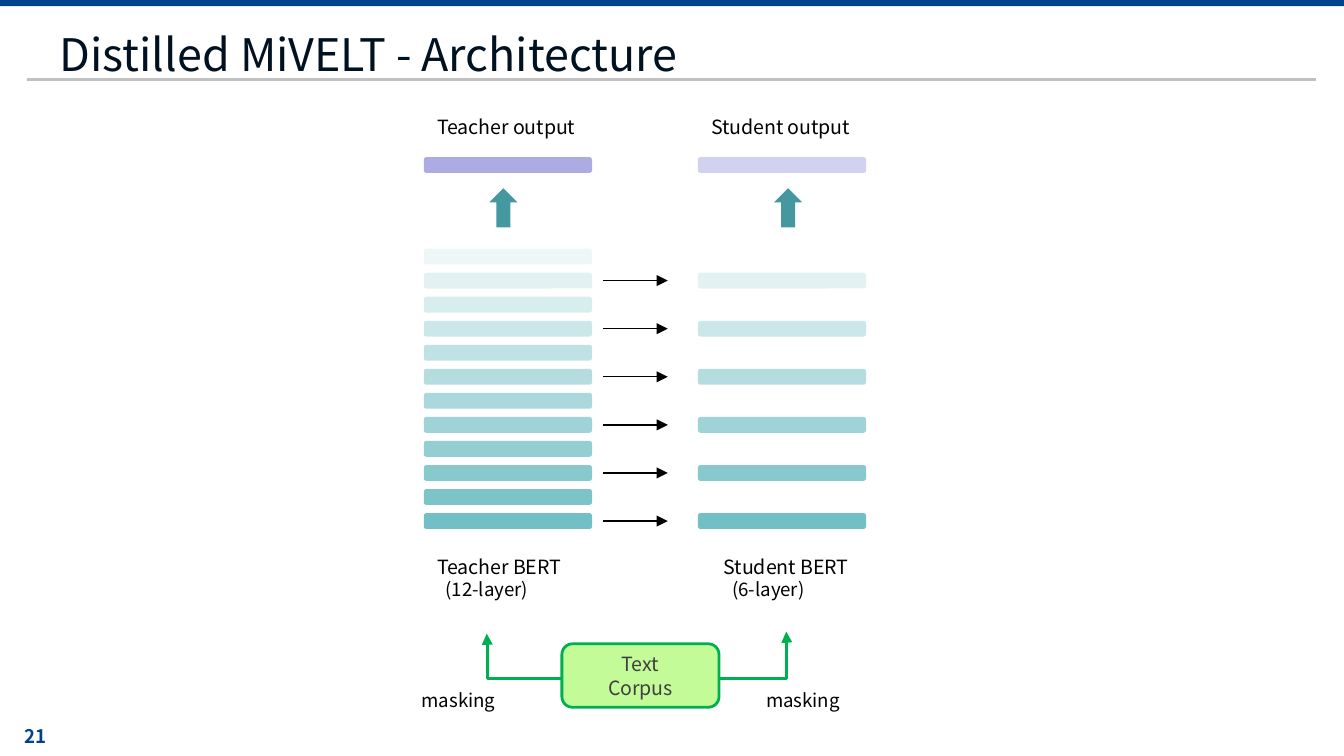
from lxml.etree import SubElement
from pptx import Presentation
from pptx.dml.color import RGBColor
from pptx.enum.shapes import MSO_CONNECTOR, MSO_SHAPE
from pptx.enum.text import MSO_ANCHOR, MSO_AUTO_SIZE, PP_ALIGN
from pptx.oxml.ns import qn
from pptx.util import Cm, Pt

FONT = "Noto Sans CJK KR"
NAVY = RGBColor(0x00, 0x43, 0x8D)
SILVER = RGBColor(0xC0, 0xC0, 0xC0)
TITLE_COLOR = RGBColor(0x00, 0x11, 0x22)
BLACK = RGBColor(0x00, 0x00, 0x00)
CHARCOAL = RGBColor(0x40, 0x40, 0x40)
TEAL = RGBColor(0x72, 0xBF, 0xC5)
DARK_TEAL = RGBColor(0x45, 0x97, 0xA0)
VIOLET = RGBColor(0x75, 0x75, 0xD1)
LAVENDER = RGBColor(0xD1, 0xD1, 0xF0)
GREEN = RGBColor(0x00, 0xB0, 0x50)
LIGHT_GREEN = RGBColor(0xC2, 0xFB, 0x97)

TEACHER_LEFT, STUDENT_LEFT = 8.01, 13.19
BAR_WIDTH, BAR_HEIGHT = 3.18, 0.3
LAYERS = 12
BOTTOM_LAYER_TOP = 9.7
LAYER_STEP = 5 / (LAYERS - 1)

presentation = Presentation()
presentation.slide_width = Cm(25.4)
presentation.slide_height = Cm(14.29)
slide = presentation.slides.add_slide(presentation.slide_layouts[6])


def add_block(kind, left, top, width, height, color, opacity=100):
    shape = slide.shapes.add_shape(kind, Cm(left), Cm(top), Cm(width), Cm(height))
    shape.shadow.inherit = False
    shape.fill.solid()
    shape.fill.fore_color.rgb = color
    shape.line.fill.background()
    if opacity < 100:
        color_element = shape._element.spPr.find(qn("a:solidFill"))[0]
        SubElement(color_element, qn("a:alpha"), val=str(opacity * 1000))
    return shape


def add_arrow(kind, start, end, color, weight):
    connector = slide.shapes.add_connector(kind, *map(Cm, start + end))
    connector.line.color.rgb = color
    connector.line.width = Pt(weight)
    SubElement(connector.line._get_or_add_ln(), qn("a:tailEnd"), type="triangle")
    SubElement(connector._element.spPr, qn("a:effectLst"))
    return connector


# Page frame and number
add_block(MSO_SHAPE.RECTANGLE, 0, 0, 25.4, 0.12, NAVY)
add_block(MSO_SHAPE.RECTANGLE, 0.51, 1.48, 24.36, 0.05, SILVER)
number_box = slide.shapes.add_textbox(Cm(0.46), Cm(13.58), Cm(0.86), Cm(0.68))
number_frame = number_box.text_frame
number_frame.word_wrap = False
number_frame.vertical_anchor = MSO_ANCHOR.MIDDLE
number_frame.margin_left = number_frame.margin_right = 0
paragraph = number_frame.paragraphs[0]
paragraph.text = "21"
paragraph.font.name, paragraph.font.size = FONT, Pt(10)
paragraph.font.bold = True
paragraph.font.color.rgb = NAVY

# Title
title_box = slide.shapes.add_textbox(Cm(0.88), Cm(0), Cm(23.67), Cm(1.6))
title_frame = title_box.text_frame
title_frame.word_wrap = True
title_frame.margin_top = title_frame.margin_bottom = Cm(0.25)
paragraph = title_frame.paragraphs[0]
paragraph.text = "Distilled MiVELT - Architecture"
paragraph.line_spacing = 1.25
paragraph.font.name, paragraph.font.size = FONT, Pt(24)
paragraph.font.color.rgb = TITLE_COLOR

# Teacher layers fade upwards; every second one passes to the student
for layer in range(LAYERS):
    top = BOTTOM_LAYER_TOP - layer * LAYER_STEP
    opacity = 100 - 8 * layer
    add_block(MSO_SHAPE.ROUNDED_RECTANGLE, TEACHER_LEFT, top, BAR_WIDTH, BAR_HEIGHT, TEAL, opacity)
    if layer % 2 == 0:
        add_block(MSO_SHAPE.ROUNDED_RECTANGLE, STUDENT_LEFT, top, BAR_WIDTH, BAR_HEIGHT, TEAL, opacity)
        middle = top + BAR_HEIGHT / 2
        add_arrow(MSO_CONNECTOR.STRAIGHT, (11.4, middle), (12.62, middle), BLACK, 0.75)

# Output bars and the arrows leading to them
for bar_left, arrow_left, color, opacity in (
    (TEACHER_LEFT, 9.25, VIOLET, 60),
    (STUDENT_LEFT, 14.63, LAVENDER, 100),
):
    add_block(MSO_SHAPE.ROUNDED_RECTANGLE, bar_left, 2.97, BAR_WIDTH, BAR_HEIGHT, color, opacity)
    add_block(MSO_SHAPE.UP_ARROW, arrow_left, 3.56, 0.53, 0.74, DARK_TEAL)

# Text corpus
corpus = add_block(MSO_SHAPE.ROUNDED_RECTANGLE, 10.62, 12.17, 2.97, 1.2, LIGHT_GREEN)
corpus.line.color.rgb = GREEN
corpus.line.width = Pt(1.5)
corpus.text_frame.vertical_anchor = MSO_ANCHOR.MIDDLE
corpus.text_frame.text = "Text\nCorpus"
for paragraph in corpus.text_frame.paragraphs:
    paragraph.alignment = PP_ALIGN.CENTER
    paragraph.font.name, paragraph.font.size = FONT, Pt(10.5)
    paragraph.font.color.rgb = CHARCOAL

# Masking paths from the corpus to both models
for start, end, bend in (
    ((10.62, 12.83), (9.2, 11.98), 99300),
    ((13.59, 12.83), (14.86, 11.94), 100800),
):
    connector = add_arrow(MSO_CONNECTOR.ELBOW, start, end, GREEN, 1.75)
    adjustments = connector._element.spPr.find(qn("a:prstGeom")).get_or_add_avLst()
    SubElement(adjustments, qn("a:gd"), name="adj1", fmla=f"val {bend}")

# Labels: left, top, width, height, lines of (text, size, indent)
labels = (
    (TEACHER_LEFT, 2.04, 3.71, 0.71, [("Teacher output", 10.5, 0)]),
    (STUDENT_LEFT, 2.04, 3.71, 0.71, [("Student output", 10.5, 0)]),
    (TEACHER_LEFT, 10.36, 2.95, 1.14, [("Teacher BERT", 10.5, 0), ("(12-layer)", 10, 0.16)]),
    (13.43, 10.36, 2.95, 1.14, [("Student BERT", 10.5, 0), ("(6-layer)", 10, 0.16)]),
    (7.72, 12.89, 2.31, 0.71, [("masking", 10, 0)]),
    (14.23, 12.89, 2.31, 0.71, [("masking", 10, 0)]),
)
for left, top, width, height, lines in labels:
    label = slide.shapes.add_textbox(Cm(left), Cm(top), Cm(width), Cm(height))
    label.text_frame.word_wrap = True
    label.text_frame.auto_size = MSO_AUTO_SIZE.SHAPE_TO_FIT_TEXT
    label.text_frame.text = "\n".join(text for text, size, indent in lines)
    for paragraph, (text, size, indent) in zip(label.text_frame.paragraphs, lines):
        paragraph.font.name, paragraph.font.size = FONT, Pt(size)
        paragraph.font.color.rgb = BLACK
        if indent:
            paragraph._p.get_or_add_pPr().set("marL", str(Cm(indent)))

presentation.save("out.pptx")
